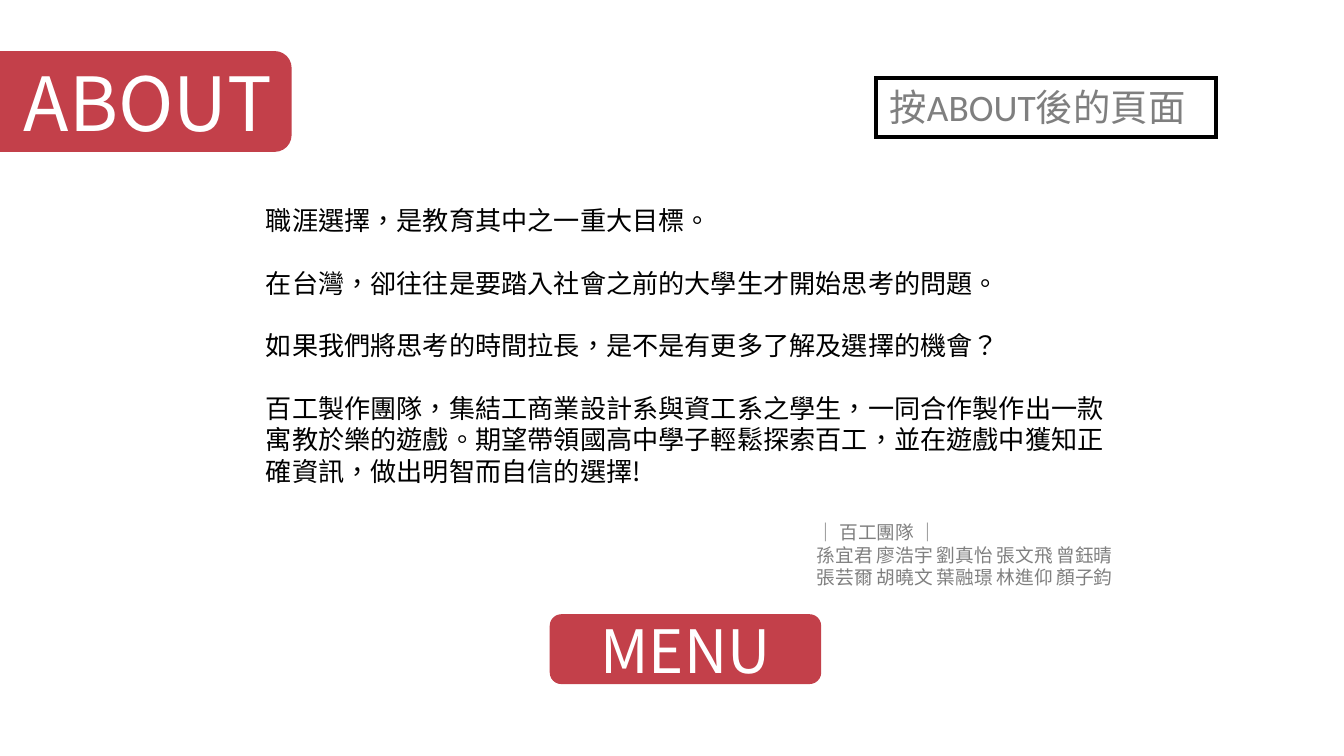
"""Build the ABOUT page of a career exploration game."""
from lxml.etree import SubElement
from pptx import Presentation
from pptx.dml.color import RGBColor
from pptx.enum.lang import MSO_LANGUAGE_ID
from pptx.enum.shapes import MSO_SHAPE
from pptx.enum.text import MSO_ANCHOR, PP_ALIGN
from pptx.oxml.ns import qn
from pptx.util import Inches, Pt

RED = RGBColor(0xC3, 0x40, 0x4A)
WHITE = RGBColor(0xFF, 0xFF, 0xFF)
BLACK = RGBColor(0, 0, 0)
GRAY = RGBColor(0x7F, 0x7F, 0x7F)
SANS = "Noto Sans CJK SC"
LABEL_FONT = "Calibri"

BUTTONS = [
    ("ABOUT", 40, (-0.2, 0.38, 2.37, 0.75), 0.33),
    ("MENU", 32, (4.09, 4.57, 2.02, 0.52), 0.1),
]
STORY = [
    "職涯選擇，是教育其中之一重大目標。",
    "在台灣，卻往往是要踏入社會之前的大學生才開始思考的問題。",
    "如果我們將思考的時間拉長，是不是有更多了解及選擇的機會？",
    "百工製作團隊，集結工商業設計系與資工系之學生，一同合作製作出一款"
    "寓教於樂的遊戲。期望帶領國高中學子輕鬆探索百工，並在遊戲中獲知正"
    "確資訊，做出明智而自信的選擇!",
]
TEAM = [
    "｜ 百工團隊 ｜",
    "孫宜君 廖浩宇 劉真怡 張文飛 曾鈺晴",
    "張芸爾 胡曉文 葉融璟 林進仰 顏子鈞",
]
PAGE_LABEL = ["按ABOUT後的頁面"]


def write(shape, lines, size, color, font=SANS, align=PP_ALIGN.LEFT, wrap=True, pitch=None, gap=0):
    frame = shape.text_frame
    frame.word_wrap = wrap
    frame.text = "\n".join(lines)
    for index, para in enumerate(frame.paragraphs):
        para.alignment = align
        if pitch:
            para.line_spacing = Pt(pitch)
        para.space_before = Pt(gap if index else 0)
        para.font.size = Pt(size)
        para.font.color.rgb = color
        para.font.name = font
        para.font.language_id = MSO_LANGUAGE_ID.TRADITIONAL_CHINESE
        properties = para._p.pPr.find(qn("a:defRPr"))
        SubElement(properties, qn("a:ea"), typeface=SANS)


def add_panel(slide, kind, place, fill):
    panel = slide.shapes.add_shape(kind, *map(Inches, place))
    panel.shadow.inherit = False
    panel.fill.solid()
    panel.fill.fore_color.rgb = fill
    panel.line.fill.background()
    return panel


def add_text(slide, place, lines, size, color, **options):
    box = slide.shapes.add_textbox(*map(Inches, place))
    write(box, lines, size, color, **options)


def main():
    deck = Presentation()
    deck.slide_width = Inches(10)
    deck.slide_height = deck.slide_width * 9 // 16
    slide = deck.slides.add_slide(deck.slide_layouts[6])

    about, menu = BUTTONS
    for label, size, place, left_inset in (about, menu):
        button = add_panel(slide, MSO_SHAPE.ROUNDED_RECTANGLE, place, RED)
        button.text_frame.margin_left = Inches(left_inset)
        write(button, [label], size, WHITE, align=PP_ALIGN.CENTER)

    add_text(slide, (1.88, 1.47, 6.61, 2.67), STORY, 14, BLACK, pitch=16.8, gap=16.8)
    add_text(slide, (5.98, 3.83, 2.4, 0.6), TEAM, 10, GRAY, wrap=False, pitch=12)

    page_label = add_panel(slide, MSO_SHAPE.RECTANGLE, (6.52, 0.58, 2.53, 0.44), WHITE)
    page_label.line.color.rgb = BLACK
    page_label.line.width = Pt(2)
    outline = page_label._element.spPr.find(qn("a:ln"))
    SubElement(outline, qn("a:miter"), lim="800000")
    page_label.text_frame.vertical_anchor = MSO_ANCHOR.TOP
    write(page_label, PAGE_LABEL, 20, GRAY, font=LABEL_FONT, wrap=False, pitch=24)

    deck.save("out.pptx")


if __name__ == "__main__":
    main()
